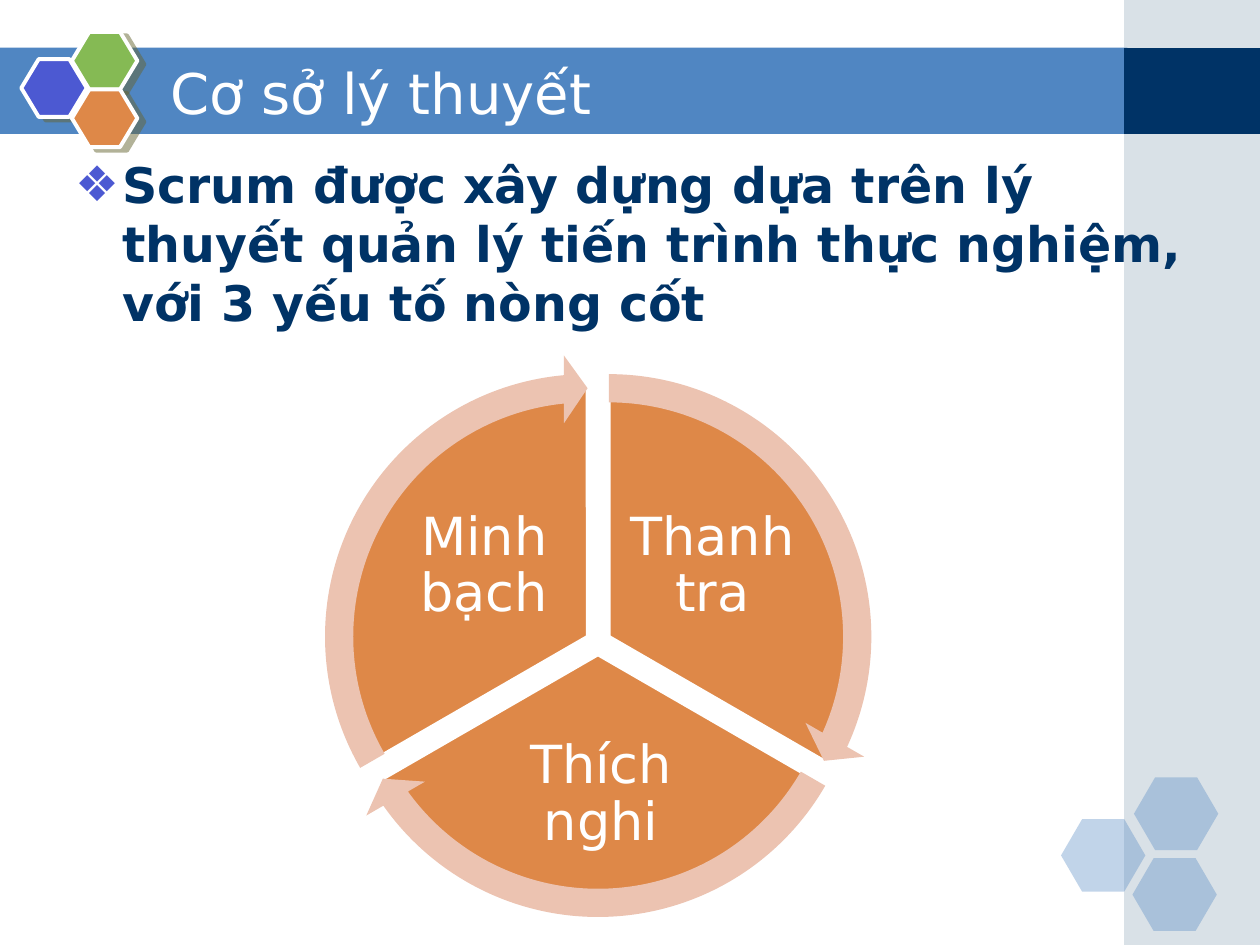
import pptx
import pptx.dml.color
import pptx.enum.shapes
import pptx.enum.text
import pptx.oxml
import pptx.oxml.ns
import pptx.util
from pptx.util import Cm

RGBColor = pptx.dml.color.RGBColor
MSO_SHAPE = pptx.enum.shapes.MSO_SHAPE
ANCHOR = pptx.enum.text.MSO_ANCHOR
ALIGN = pptx.enum.text.PP_ALIGN

WHITE = RGBColor(0xFF, 0xFF, 0xFF)
BLUE = RGBColor(0x50, 0x86, 0xC2)
NAVY = RGBColor(0x00, 0x33, 0x66)
GREY = RGBColor(0xA0, 0xB5, 0xC4)
VIOLET = RGBColor(0x4C, 0x59, 0xD2)
GREEN = RGBColor(0x85, 0xBA, 0x54)
ORANGE = RGBColor(0xDE, 0x88, 0x48)
PEACH = RGBColor(0xEC, 0xC3, 0xB1)
OLIVE = RGBColor(0x66, 0x66, 0x33)
FONT = "DejaVu Sans"
NS = pptx.oxml.ns.nsdecls("a")

prs = pptx.Presentation()
prs.slide_width, prs.slide_height = Cm(25.4), Cm(19.05)
s = prs.slides.add_slide(prs.slide_layouts[6])


def add_shape(kind, x, y, w, h, color, adj=(), alpha=None, line=None):
    sp = s.shapes.add_shape(kind, Cm(x), Cm(y), Cm(w), Cm(h))
    sp.shadow.inherit = False
    sp.fill.solid()
    sp.fill.fore_color.rgb = color
    for i, value in enumerate(adj):
        sp.adjustments[i] = value
    if alpha is not None:
        clr = sp._element.spPr.find(".//" + pptx.oxml.ns.qn("a:srgbClr"))
        clr.append(pptx.oxml.parse_xml(f'<a:alpha {NS} val="{alpha * 1000}"/>'))
    if line is None:
        sp.line.fill.background()
    else:
        sp.line.color.rgb = WHITE
        sp.line.width = pptx.util.Pt(line)
    return sp


def add_text(text, x, y, w, h, size, color, anchor=ANCHOR.MIDDLE):
    tf = s.shapes.add_textbox(Cm(x), Cm(y), Cm(w), Cm(h)).text_frame
    tf.word_wrap = True
    tf.vertical_anchor = anchor
    p = tf.paragraphs[0]
    p.text = text
    p.font.name = FONT
    p.font.size = pptx.util.Pt(size)
    p.font.color.rgb = color
    return tf


# Title band and side column
add_shape(MSO_SHAPE.RECTANGLE, -0.03, 0.96, 22.76, 1.74, BLUE)
add_shape(MSO_SHAPE.RECTANGLE, 22.66, 0, 2.74, 19.05, GREY, alpha=40)
add_shape(MSO_SHAPE.RECTANGLE, 22.66, 0.97, 2.74, 1.73, NAVY)

# Pale hexagons, bottom right
for x, y in ((21.39, 16.51), (22.86, 15.67), (22.83, 17.3)):
    add_shape(MSO_SHAPE.HEXAGON, x, y, 1.7, 1.47, BLUE, (0.29, 1.15), alpha=35)

# Coloured hexagons with a hard shadow, top left
for x, y, color in ((0.43, 1.19, VIOLET), (1.45, 0.64, GREEN), (1.45, 1.8, ORANGE)):
    sp = add_shape(MSO_SHAPE.HEXAGON, x, y, 1.32, 1.17, color, (0.3, 1.15), line=2.25)
    effects = sp._element.spPr.find(pptx.oxml.ns.qn("a:effectLst"))
    effects.append(pptx.oxml.parse_xml(
        f'<a:outerShdw {NS} dist="57150" dir="1620000" algn="ctr" rotWithShape="0">'
        f'<a:srgbClr val="{OLIVE}"><a:alpha val="50000"/></a:srgbClr></a:outerShdw>'))

# Title
add_text("Cơ sở lý thuyết", 3.18, 1.07, 18.62, 1.57, 32, WHITE)

# Bulleted statement
tf = add_text("Scrum được xây dựng dựa trên lý thuyết quản lý tiến trình thực nghiệm, "
              "với 3 yếu tố nòng cốt", 1.27, 3, 22.86, 14.58, 28, NAVY, ANCHOR.TOP)
p = tf.paragraphs[0]
p.font.bold = True
p.space_before = pptx.util.Pt(3)
pPr = p._p.get_or_add_pPr()
pPr.set("marL", str(Cm(0.95)))
pPr.set("indent", str(-Cm(0.95)))
bullet = (f'<a:buClr {NS}><a:srgbClr val="{VIOLET}"/></a:buClr>',
          f'<a:buFont {NS} typeface="{FONT}"/>', f'<a:buChar {NS} char="❖"/>')
first_run_props = pPr.find(pptx.oxml.ns.qn("a:defRPr"))
for xml in bullet:
    first_run_props.addprevious(pptx.oxml.parse_xml(xml))

# Cycle: position, pie angles, arrow angles, label and its box
PIE, ARROW = 10.13, 11.38
GAP = (ARROW - PIE) / 2
sectors = (
    (7.21, 7.77, (162, 18), (14.72, 161.99), "Thanh tra", (12.55, 9.91, 3.63, 3.02)),
    (6.99, 8.13, (18, 90), (86.72, 18), "Thích nghi", (9.4, 14.71, 5.44, 2.64)),
    (6.78, 7.77, (90, 162), (158.73, 90), "Minh bạch", (7.95, 9.91, 3.63, 3.02)),
)
for x, y, angles, _, label, box in sectors:
    add_shape(MSO_SHAPE.PIE, x, y, PIE, PIE, ORANGE, angles, line=2)
    tf = add_text(label, *box, 30, WHITE)
    tf.margin_left = tf.margin_right = tf.margin_top = tf.margin_bottom = Cm(0.1)
    tf.paragraphs[0].alignment = ALIGN.CENTER
    tf.paragraphs[0].line_spacing = 0.9
for x, y, _, (end, start), _, _ in sectors:
    add_shape(MSO_SHAPE.CIRCULAR_ARROW, x - GAP, y - GAP, ARROW, ARROW, PEACH,
              (0.05, 3.28, end, start, 0.06))

prs.save("out.pptx")
